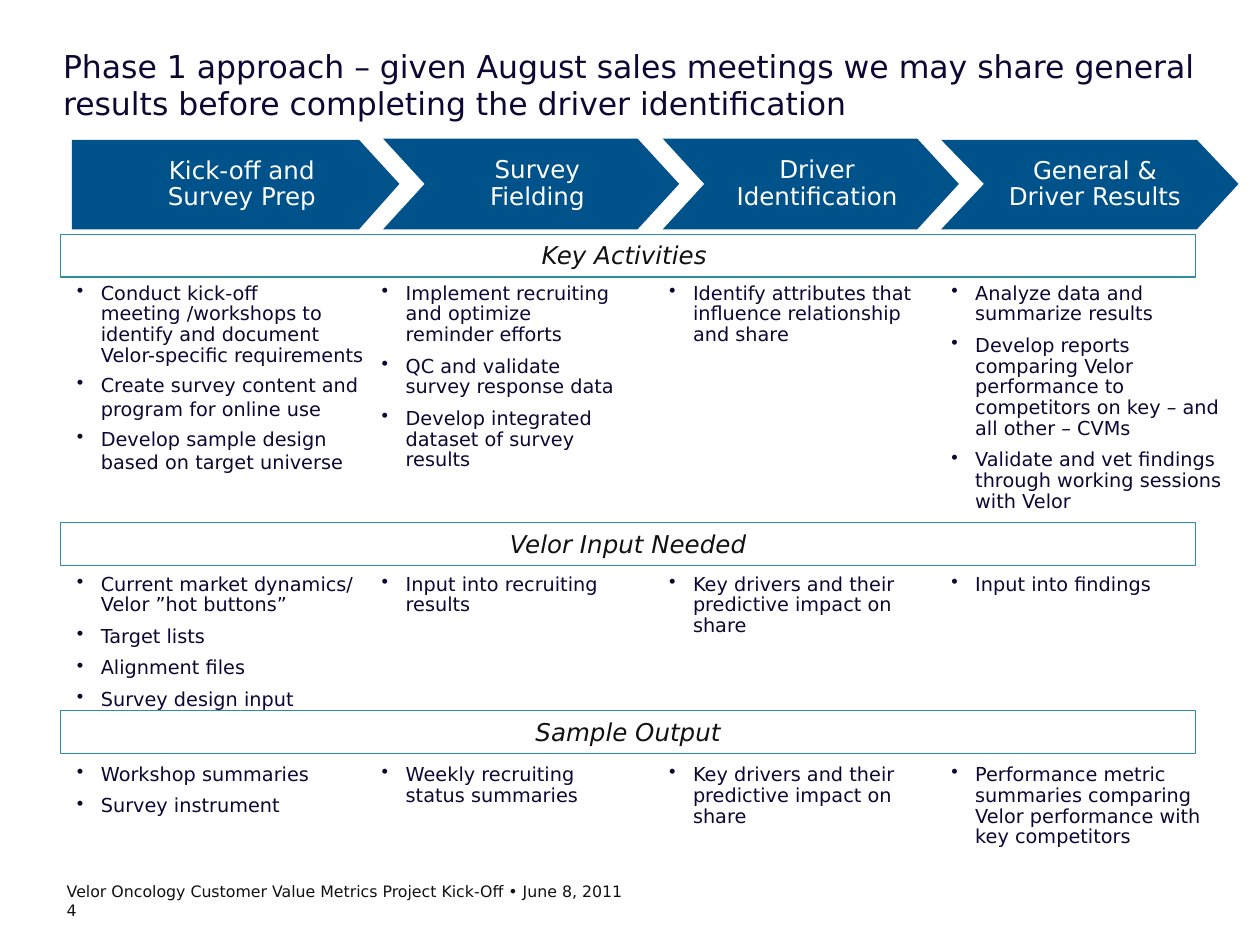
"""Build the Phase 1 approach slide: four process steps over three rows of lists."""
from copy import deepcopy

from lxml import etree
from pptx import Presentation
from pptx import util as u
from pptx.dml import color
from pptx.enum import shapes, text
from pptx.oxml import ns

PX = 9144
NAVY, BLUE, TEAL, BLACK, WHITE = "0E0733", "00528A", "2E8D9E", "111111", "FFFFFF"


def rgb(value):
    return color.RGBColor.from_string(value)


def write(tf, lines, size, ink, inset=(0, 0), indent=0, bullet=False, italic=None, **fmt):
    frame = {"margin_left": inset[0], "margin_right": inset[0],
             "margin_top": inset[1], "margin_bottom": inset[1]}
    for name, value in frame.items():
        setattr(tf, name, value * PX)
    tf.word_wrap = True
    for i, line in enumerate(lines):
        p = tf.paragraphs[0] if i == 0 else tf.add_paragraph()
        p.text = line
        pPr = p._p.get_or_add_pPr()
        pPr.set("marL", str(indent * PX))
        pPr.set("indent", str(-indent * PX if bullet else 0))
        if bullet:
            clr = etree.SubElement(pPr, ns.qn("a:buClr"))
            etree.SubElement(clr, ns.qn("a:srgbClr"), val=ink)
            etree.SubElement(pPr, ns.qn("a:buChar"), char="•")
        for name, value in fmt.items():
            if name != "space_before" or i > 0:
                setattr(p, name, value)
        for r in p.runs:
            for name, value in {"size": u.Pt(size), "name": "DejaVu Sans", "italic": italic}.items():
                setattr(r.font, name, value)
            r.font.color.rgb = rgb(ink)
        for br in p._p.findall(ns.qn("a:br")):
            br.append(deepcopy(p.runs[0]._r.rPr))


prs = Presentation()
prs.slide_width, prs.slide_height = 1000 * PX, 750 * PX
s = prs.slides.add_slide(prs.slide_layouts[5])

title = s.shapes.title
for name, value in {"left": 50, "top": 37, "width": 900, "height": 100}.items():
    setattr(title, name, value * PX)
tf = title.text_frame
tf.auto_size = text.MSO_AUTO_SIZE.NONE
tf.vertical_anchor = text.MSO_ANCHOR.TOP
write(tf, ["Phase 1 approach – given August sales meetings we may share general "
           "results before completing the driver identification"],
      18, NAVY, alignment=text.PP_ALIGN.LEFT)

steps = [
    (57, 111, 260, 32, 0, 10, ["Kick-off and\vSurvey Prep"]),
    (304, 110, 235, 33, 33, 10, ["Survey", "Fielding"]),
    (526, 110, 235, 33, 33, 10, ["Driver\vIdentification"]),
    (747, 111, 236, 33, 34, 8, ["General &\vDriver Results"]),
]
for x, y, w, head, notch, indent, label in steps:
    mid, bottom, right = 146, 182, x + w
    points = [(right - head, y), (right, mid), (right - head, bottom), (x, bottom)]
    if notch:
        points.append((x + notch, mid))
    builder = s.shapes.build_freeform(x, y, scale=PX)
    builder.add_line_segments(points, close=True)
    sp = builder.convert_to_shape()
    sp.shadow.inherit = False
    sp.fill.solid()
    sp.fill.fore_color.rgb = rgb(BLUE)
    sp.line.fill.background()
    tf = sp.text_frame
    write(tf, label, 14, WHITE, inset=(5, 5), indent=indent,
          alignment=text.PP_ALIGN.CENTER, line_spacing=0.9)
    tf.word_wrap = False
    tf.vertical_anchor = text.MSO_ANCHOR.MIDDLE

columns = [(61, 232), (303, 190), (531, 201), (755, 217)]
rows = [
    ("Key Activities ", 186, 225, 186, [
        ["Conduct kick-off meeting /workshops to identify and document Velor-specific requirements",
         "Create survey content and program for online use",
         "Develop sample design based on target universe"],
        ["Implement recruiting and optimize reminder efforts",
         "QC and validate survey response data",
         "Develop integrated dataset of survey results"],
        ["Identify attributes that influence relationship and share"],
        ["Analyze data and summarize results",
         "Develop reports comparing Velor performance to competitors on key – and all other – CVMs",
         "Validate and vet findings through working sessions with Velor"]]),
    ("Velor Input Needed", 415, 456, 95, [
        ["Current market dynamics/ Velor ”hot buttons”", "Target lists",
         "Alignment files", "Survey design input"],
        ["Input into recruiting results"],
        ["Key drivers and their predictive impact on share"],
        ["Input into findings"]]),
    ("Sample Output", 564, 607, 90, [
        ["Workshop summaries", "Survey instrument"],
        ["Weekly recruiting status summaries"],
        ["Key drivers and their predictive impact on share"],
        ["Performance metric summaries comparing Velor performance with key competitors"]]),
]
for heading, bar_y, list_y, list_h, lists in rows:
    bar = s.shapes.add_shape(shapes.MSO_SHAPE.RECTANGLE, 48 * PX, bar_y * PX, 901 * PX, 34 * PX)
    bar.shadow.inherit = False
    bar.fill.background()
    bar.line.color.rgb = rgb(TEAL)
    bar.line.width = u.Pt(0.75)
    bar.text_frame.vertical_anchor = text.MSO_ANCHOR.TOP
    write(bar.text_frame, [heading], 14, BLACK, inset=(10, 5), italic=True,
          alignment=text.PP_ALIGN.CENTER)
    for (x, w), items in zip(columns, lists):
        box = s.shapes.add_textbox(x * PX, list_y * PX, w * PX, list_h * PX)
        write(box.text_frame, items, 11, NAVY, indent=19, bullet=True,
              line_spacing=0.9, space_before=u.Pt(6.1))
        if items[0].startswith("Conduct"):
            for p in box.text_frame.paragraphs[1:]:
                p.line_spacing, p.space_before = 1.0, u.Pt(4.1)

footer = s.shapes.add_textbox(53 * PX, 700 * PX, 750 * PX, 35 * PX)
write(footer.text_frame,
      ["Velor Oncology Customer Value Metrics Project Kick-Off • June 8, 2011", "4"], 9, BLACK)

prs.save("out.pptx")
